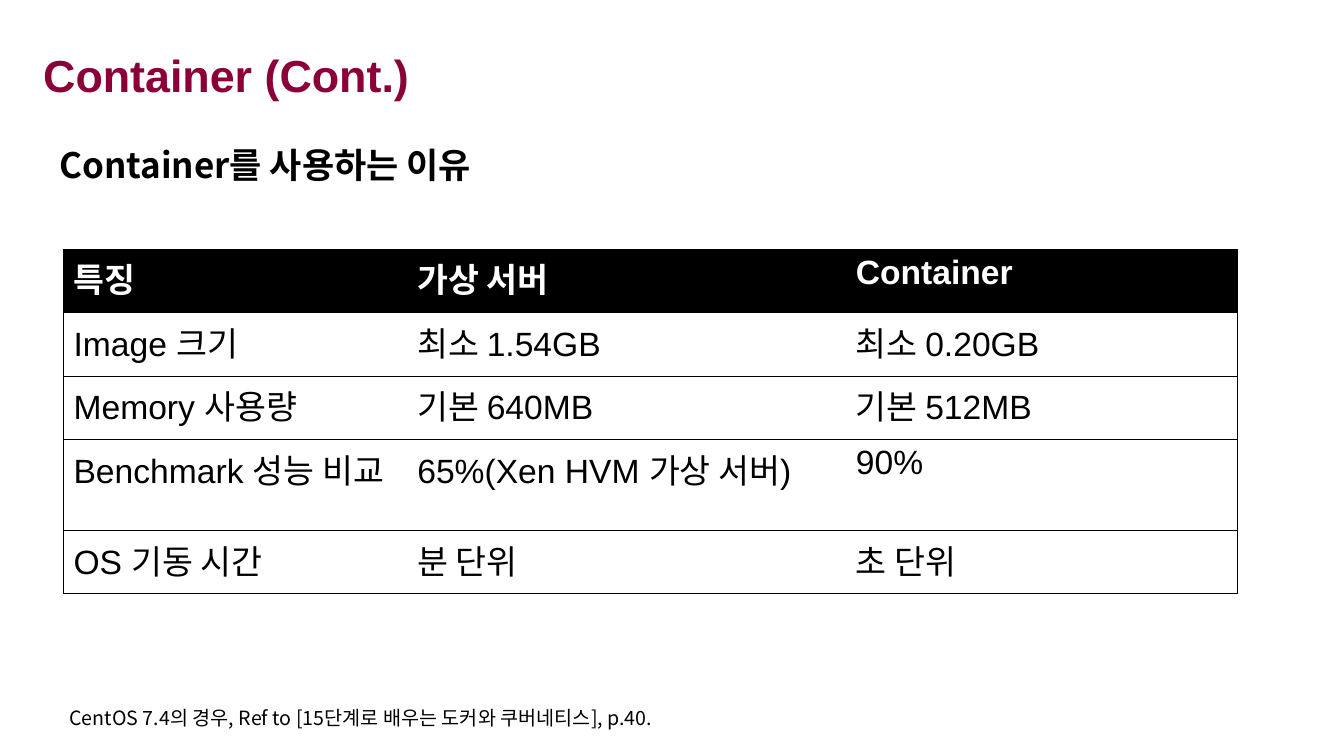
from lxml import etree
from pptx import Presentation
from pptx import util as u
from pptx.dml import color
from pptx.enum import text
from pptx.oxml import ns

COLORS = {"title": "8C0039", "ink": "000000", "paper": "FFFFFF"}
KOREAN = "Noto Sans CJK KR"
ROWS = [
    ("특징", "가상 서버", "Container"),
    ("Image 크기", "최소 1.54GB", "최소 0.20GB"),
    ("Memory 사용량", "기본 640MB", "기본 512MB"),
    ("Benchmark 성능 비교", "65%(Xen HVM 가상 서버)", "90%"),
    ("OS 기동 시간", "분 단위", "초 단위"),
]
COLUMN_WIDTHS = [3.41, 4.35, 3.88]
ROW_HEIGHTS = [0.63, 0.63, 0.63, 0.9, 0.63]


class SlideBuilder:
    def __init__(self, page):
        self.page = page

    def rgb(self, name):
        return color.RGBColor.from_string(COLORS[name])

    def set_words(self, frame, words, size, ink="ink", bold=False, font=KOREAN, spacing=None):
        para = frame.paragraphs[0]
        para.text = words
        if spacing:
            para.line_spacing = spacing
        para.font.size = u.Pt(size)
        para.font.bold = bold
        para.font.name = font
        para.font.color.rgb = self.rgb(ink)
        properties = para._p.pPr.find(ns.qn("a:defRPr"))
        etree.SubElement(properties, ns.qn("a:ea"), typeface=KOREAN)

    def text(self, place, words, size, inset=None, anchor=text.MSO_ANCHOR.TOP, **style):
        box = self.page.shapes.add_textbox(*map(u.Inches, place))
        frame = box.text_frame
        frame.word_wrap = True
        frame.vertical_anchor = anchor
        if inset is not None:
            frame.margin_left = frame.margin_right = u.Inches(inset)
            frame.margin_top = frame.margin_bottom = u.Inches(inset)
        self.set_words(frame, words, size, **style)

    def borders(self, cell, visible):
        properties = cell._tc.get_or_add_tcPr()
        for index, side in enumerate("LRTB"):
            line = etree.Element(ns.qn(f"a:ln{side}"), w=str(u.Pt(0.75)))
            if side in visible:
                fill = etree.SubElement(line, ns.qn("a:solidFill"))
                etree.SubElement(fill, ns.qn("a:srgbClr"), val=COLORS["ink"])
            else:
                etree.SubElement(line, ns.qn("a:noFill"))
            properties.insert(index, line)

    def table(self, left, top, rows, widths, heights):
        place = map(u.Inches, (left, top, sum(widths), sum(heights)))
        table = self.page.shapes.add_table(len(rows), len(widths), *place).table
        table.horz_banding = False
        for column, width in zip(table.columns, widths):
            column.width = u.Inches(width)
        for row, height in zip(table.rows, heights):
            row.height = u.Inches(height)
        last = len(widths) - 1
        for r, row in enumerate(rows):
            for c, words in enumerate(row):
                cell = table.cell(r, c)
                header = r == 0
                cell.fill.solid()
                cell.fill.fore_color.rgb = self.rgb("ink" if header else "paper")
                self.set_words(cell.text_frame, words, 24, "paper" if header else "ink",
                               header, "Arial")
                self.borders(cell, "TB" + "L" * (c == 0) + "R" * (c == last))


def main():
    deck = Presentation()
    deck.slide_width, deck.slide_height = u.Inches(13.33), u.Inches(7.5)
    slide = SlideBuilder(deck.slides.add_slide(deck.slide_layouts[6]))
    slide.text((0.33, 0.25, 12.56, 0.98), "Container (Cont.)", 32,
               anchor=text.MSO_ANCHOR.MIDDLE, ink="title", bold=True, font="Arial")
    slide.text((0.59, 1.22, 12.11, 1.29), "Container를 사용하는 이유", 25,
               inset=0, bold=True, spacing=1.5)
    slide.table(0.63, 2.47, ROWS, COLUMN_WIDTHS, ROW_HEIGHTS)
    slide.text((0.59, 6.95, 10.48, 0.34),
               "CentOS 7.4의 경우, Ref to [15단계로 배우는 도커와 쿠버네티스], p.40.", 14)
    deck.save("out.pptx")


if __name__ == "__main__":
    main()
